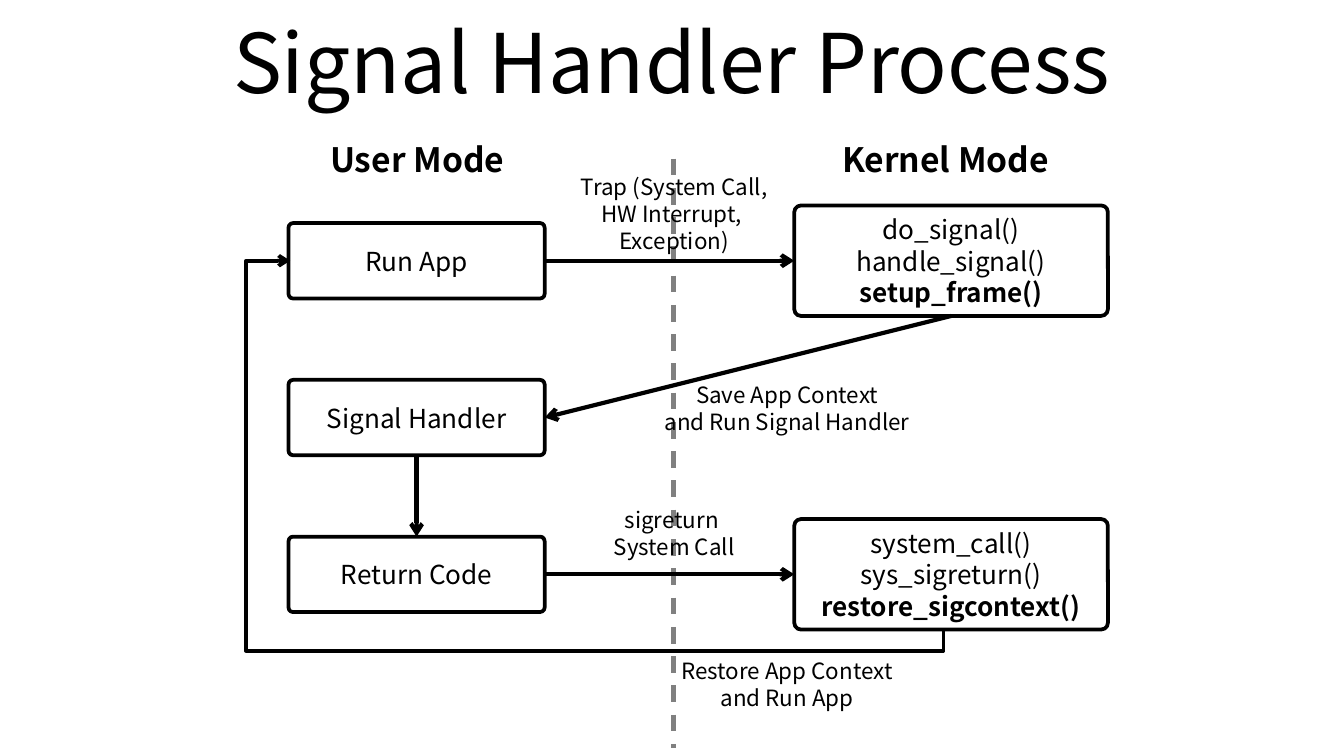
from dataclasses import dataclass

from lxml import etree
from pptx import Presentation
from pptx.dml.color import RGBColor
from pptx.enum import dml, shapes, text
from pptx.oxml import ns
from pptx.util import Pt


@dataclass
class Theme:
    font: str = "Noto Sans CJK KR"
    ink: RGBColor = RGBColor(0, 0, 0)
    paper: RGBColor = RGBColor(255, 255, 255)
    divider: RGBColor = RGBColor(128, 128, 128)
    title: int = 44
    heading: int = 18
    step: int = 14
    label: int = 12
    outline: float = 2
    arrow: float = 2.25


theme = Theme()


def write_lines(box, lines, size, bold_lines=(), wrap=True):
    frame = box.text_frame
    frame.word_wrap = wrap
    frame.text = "\n".join(lines)
    for para in frame.paragraphs:
        para.alignment = text.PP_ALIGN.CENTER
        for span in para.runs:
            span.font.name = theme.font
            span.font.size = Pt(size)
            span.font.color.rgb = theme.ink
            span.font.bold = span.text in bold_lines


def style_line(shape, color, width, arrow=True):
    shape.line.color.rgb = color
    shape.line.width = Pt(width)
    if arrow:
        etree.SubElement(shape.line._get_or_add_ln(), ns.qn("a:tailEnd"), type="arrow")
    properties = shape._element.spPr
    if properties.find(ns.qn("a:effectLst")) is None:
        etree.SubElement(properties, ns.qn("a:effectLst"))


deck = Presentation()
deck.slide_width, deck.slide_height = Pt(720), Pt(405)
page = deck.slides.add_slide(deck.slide_layouts[6])

# Title
title = page.shapes.add_textbox(Pt(36), Pt(-1.4), Pt(648), Pt(67.7))
title.text_frame.vertical_anchor = text.MSO_ANCHOR.MIDDLE
write_lines(title, ["Signal Handler Process"], theme.title)

# Divider between the two modes
divider = page.shapes.add_connector(
    shapes.MSO_CONNECTOR.STRAIGHT, Pt(360.8), Pt(85), Pt(360.8), Pt(401))
style_line(divider, theme.divider, theme.arrow, arrow=False)
divider.line.dash_style = dml.MSO_LINE.DASH

# Mode headings
for heading, left, width in [("User Mode", 168.5, 110), ("Kernel Mode", 443.5, 126)]:
    box = page.shapes.add_textbox(Pt(left), Pt(70.6), Pt(width), Pt(29))
    write_lines(box, [heading], theme.heading, [heading], wrap=False)

# Step boxes, centred on three evenly spaced rows
first_row, row_gap = 139.7, 84
user_column = (154.6, 137.2, 40.4)
kernel_column = (425.5, 168, 59.2)
steps = [
    ("run", user_column, 0, ["Run App"]),
    ("setup", kernel_column, 0, ["do_signal()", "handle_signal()", "setup_frame()"]),
    ("handler", user_column, 1, ["Signal Handler"]),
    ("return", user_column, 2, ["Return Code"]),
    ("restore", kernel_column, 2,
     ["system_call()", "sys_sigreturn()", "restore_sigcontext()"]),
]
boxes = {}
for name, (left, width, height), row, lines in steps:
    top = first_row + row * row_gap - height / 2
    box = page.shapes.add_shape(
        shapes.MSO_SHAPE.ROUNDED_RECTANGLE, Pt(left), Pt(top), Pt(width), Pt(height))
    box.adjustments[0] = 0.06
    box.shadow.inherit = False
    box.fill.solid()
    box.fill.fore_color.rgb = theme.paper
    style_line(box, theme.ink, theme.outline, arrow=False)
    box.text_frame.vertical_anchor = text.MSO_ANCHOR.MIDDLE
    write_lines(box, lines, theme.step, ["setup_frame()", "restore_sigcontext()"])
    boxes[name] = box

# Arrows between steps
TOP, LEFT, BOTTOM, RIGHT = range(4)
for start, start_side, end, end_side in [
    ("run", RIGHT, "setup", LEFT),
    ("setup", BOTTOM, "handler", RIGHT),
    ("handler", BOTTOM, "return", TOP),
    ("return", RIGHT, "restore", LEFT),
]:
    arrow = page.shapes.add_connector(shapes.MSO_CONNECTOR.STRAIGHT, 0, 0, 0, 0)
    arrow.begin_connect(boxes[start], start_side)
    arrow.end_connect(boxes[end], end_side)
    style_line(arrow, theme.ink, theme.arrow)

# Return route from the kernel back to the app
route = [(505.4, 337), (505.4, 348.6), (131.8, 348.6), (131.8, 139.7), (155.5, 139.7)]
points = [(Pt(x), Pt(y)) for x, y in route]
builder = page.shapes.build_freeform(*points[0])
builder.add_line_segments(points[1:], close=False)
loop = builder.convert_to_shape()
loop.shadow.inherit = False
loop.fill.background()
style_line(loop, theme.ink, theme.outline)

# Transition labels
for left, top, lines in [
    (277.2, 89.3, ["Trap (System Call,", "HW Interrupt, ", "Exception)"]),
    (337.7, 200.9, ["Save App Context", "and Run Signal Handler"]),
    (277.2, 267.8, ["sigreturn ", "System Call"]),
    (337.7, 348.6, ["Restore App Context", "and Run App"]),
]:
    label = page.shapes.add_textbox(
        Pt(left), Pt(top), Pt(168), Pt(7.2 + 14.5 * len(lines)))
    write_lines(label, lines, theme.label)

deck.save("out.pptx")
